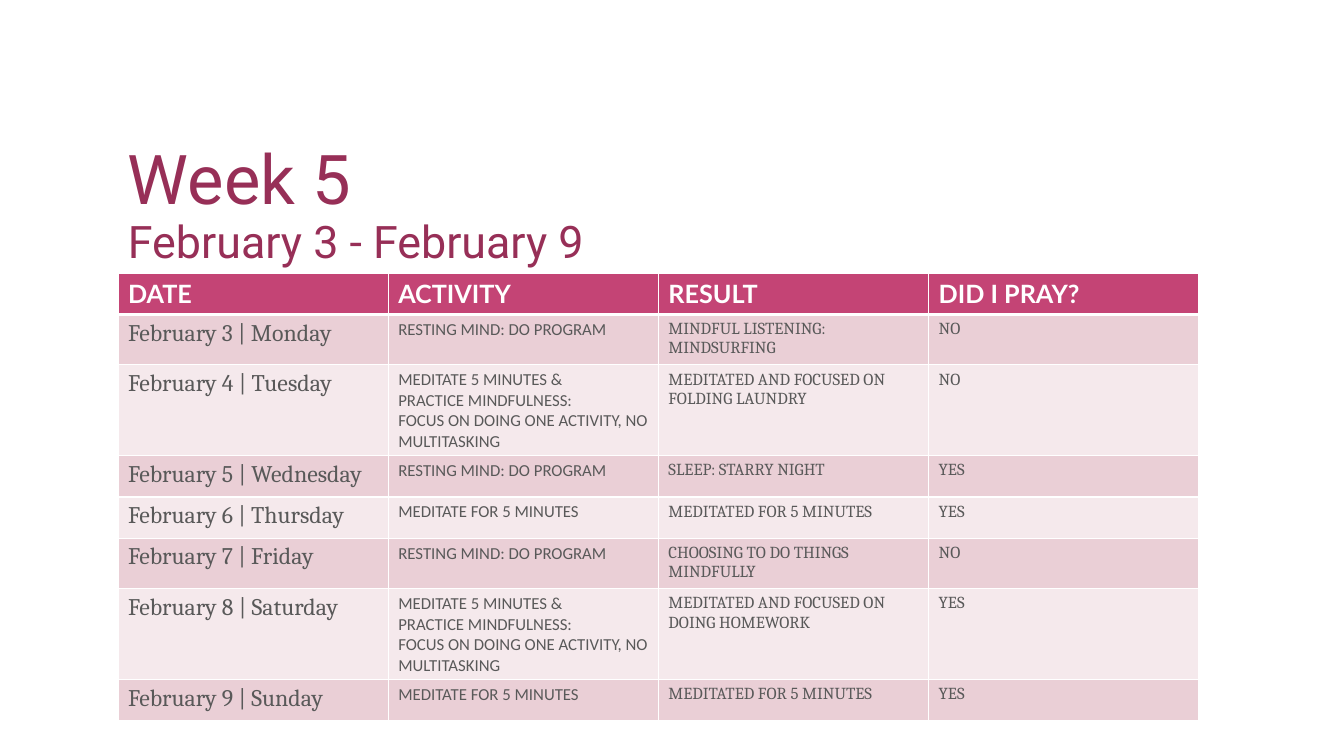
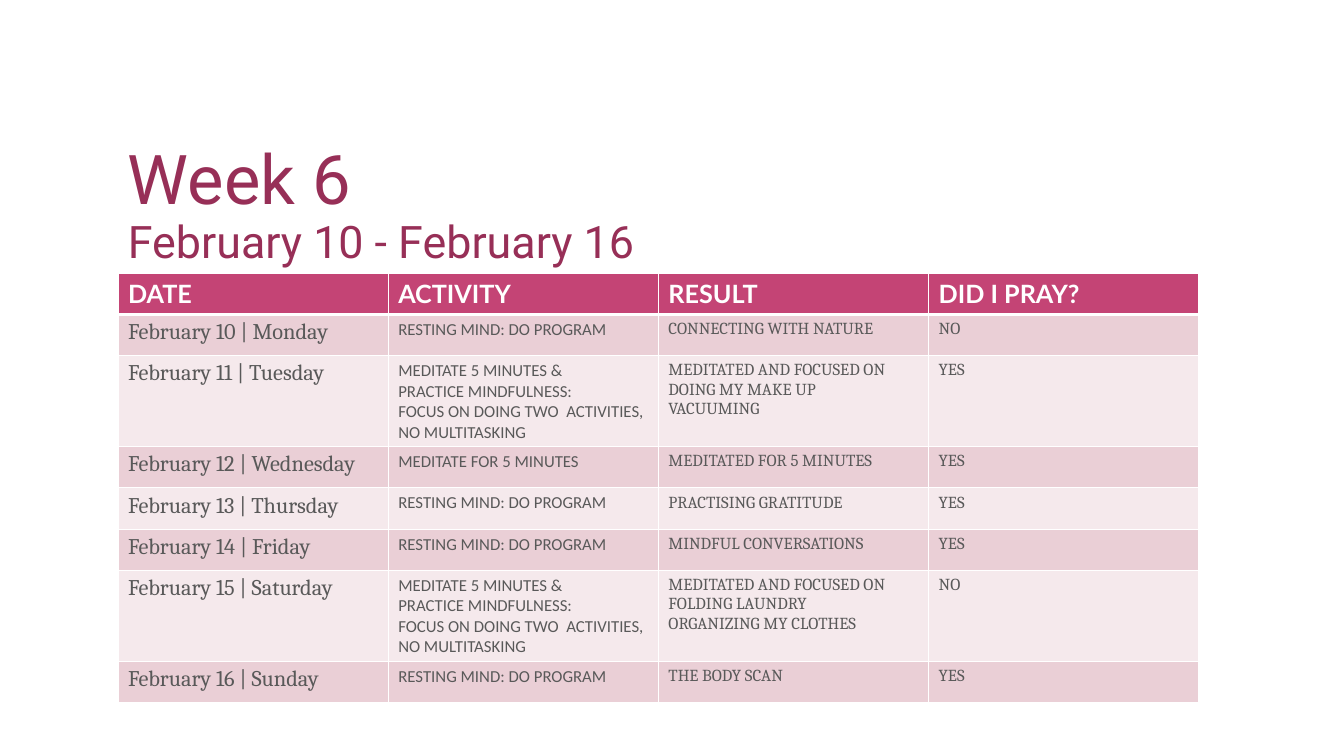
from pptx import Presentation
from pptx.dml.color import RGBColor
from pptx.enum.text import MSO_ANCHOR
from pptx.oxml.ns import qn
from pptx.util import Inches, Pt
from lxml import etree

BOTTOM = MSO_ANCHOR.BOTTOM
SLIDE_SIZE = (13.33, 7.5)
TITLE_BOX = (1.17, 1.21, 6.01, 1.5)
TABLE_BOX = (1.17, 2.71, 10.72, 3.28)
WHITE, HEADER_FILL, TITLE_COLOR, BODY_COLOR = "FFFFFF", "C44475", "972F57", "595959"
BAND_FILLS = ("EACFD6", "F5E9EC")
HEADINGS = ("DATE", "ACTIVITY", "RESULT", "DID I PRAY?")
WEEKDAYS = ("Monday", "Tuesday", "Wednesday", "Thursday", "Friday", "Saturday", "Sunday")

TITLE_FONT = {"name": "Roboto", "size": Pt(49), "color": TITLE_COLOR}
SUBTITLE_FONT = {**TITLE_FONT, "size": Pt(32)}
HEADING_FONT = {"name": "Lato", "size": Pt(18), "color": WHITE, "bold": True}
ACTIVITY_FONT = {"name": "Calibri", "size": Pt(12), "color": BODY_COLOR, "bold": False}
RESULT_FONT = {**ACTIVITY_FONT, "name": "Cambria"}

PROGRAM = "RESTING MIND: DO PROGRAM"
MEDITATE = "MEDITATE FOR 5 MINUTES"
MEDITATED = "MEDITATED FOR 5 MINUTES"
PRACTICE = "MEDITATE 5 MINUTES &\nPRACTICE MINDFULNESS:\nFOCUS ON DOING "
ONE_ACTIVITY = PRACTICE + "ONE ACTIVITY, NO MULTITASKING"
TWO_ACTIVITIES = PRACTICE + "TWO  ACTIVITIES, NO MULTITASKING"
FOCUSED = "MEDITATED AND FOCUSED ON "

WEEKS = (
    {"number": 5, "first_day": 3, "date_size": 17, "entries": (
        (PROGRAM, "MINDFUL LISTENING: MINDSURFING", "NO"),
        (ONE_ACTIVITY, FOCUSED + "FOLDING LAUNDRY", "NO"),
        (PROGRAM, "SLEEP: STARRY NIGHT", "YES"),
        (MEDITATE, MEDITATED, "YES"),
        (PROGRAM, "CHOOSING TO DO THINGS MINDFULLY", "NO"),
        (ONE_ACTIVITY, FOCUSED + "DOING HOMEWORK", "YES"),
        (MEDITATE, MEDITATED, "YES"),
    )},
    {"number": 6, "first_day": 10, "date_size": 16, "entries": (
        (PROGRAM, "CONNECTING WITH NATURE", "NO"),
        (TWO_ACTIVITIES, FOCUSED + "DOING MY MAKE UP\nVACUUMING", "YES"),
        (MEDITATE, MEDITATED, "YES"),
        (PROGRAM, "PRACTISING GRATITUDE", "YES"),
        (PROGRAM, "MINDFUL CONVERSATIONS", "YES"),
        (TWO_ACTIVITIES, FOCUSED + "FOLDING LAUNDRY\nORGANIZING MY CLOTHES", "NO"),
        (PROGRAM, "THE BODY SCAN", "YES"),
    )},
)


def rgb(value):
    """Turn a hex string into a colour."""
    return RGBColor.from_string(value)


def format_font(font, values):
    """Apply a dict of format values to a font."""
    for name, value in values.items():
        if name == "color":
            font.color.rgb = rgb(value)
        else:
            setattr(font, name, value)


def add_title(slide, box, title, subtitle):
    """Place the two-line title at the bottom of its box."""
    frame = slide.shapes.add_textbox(*map(Inches, box)).text_frame
    frame.word_wrap = True
    frame.vertical_anchor = BOTTOM
    paragraph = frame.paragraphs[0]
    paragraph.line_spacing = 0.9
    for text, font in ((title, TITLE_FONT), (subtitle, SUBTITLE_FONT)):
        if paragraph.runs:
            paragraph.add_line_break()
        run = paragraph.add_run()
        run.text = text
        format_font(run.font, font)


def set_borders(cell, top, bottom):
    """Draw white cell borders, with the given top and bottom widths."""
    properties = cell._tc.get_or_add_tcPr()
    for side, width in (("L", 1), ("R", 1), ("T", top), ("B", bottom)):
        line = etree.SubElement(properties, qn(f"a:ln{side}"), w=str(Pt(width)))
        fill = etree.SubElement(line, qn("a:solidFill"))
        etree.SubElement(fill, qn("a:srgbClr"), val=WHITE)


def fill_cell(cell, text, font, fill):
    """Write the text of a cell and colour its background."""
    cell.fill.solid()
    cell.fill.fore_color.rgb = rgb(fill)
    cell.text_frame.text = text
    for paragraph in cell.text_frame.paragraphs:
        for run in paragraph.runs:
            format_font(run.font, font)


def add_week_table(slide, box, week):
    """Place the diary table with one row for each day."""
    dates = [f"February {day} | {weekday}"
             for day, weekday in enumerate(WEEKDAYS, week["first_day"])]
    rows = [HEADINGS] + [(date, *entry) for date, entry in zip(dates, week["entries"])]
    date_font = {**RESULT_FONT, "size": Pt(week["date_size"])}
    body_fonts = (date_font, ACTIVITY_FONT, RESULT_FONT, RESULT_FONT)
    table = slide.shapes.add_table(len(rows), len(HEADINGS), *map(Inches, box)).table
    for row, texts in enumerate(rows):
        fill = BAND_FILLS[(row - 1) % 2] if row else HEADER_FILL
        for column, text in enumerate(texts):
            cell = table.cell(row, column)
            set_borders(cell, 3 if row == 1 else 1, 1 if row else 3)
            fill_cell(cell, text, body_fonts[column] if row else HEADING_FONT, fill)


def add_week_slide(presentation, week):
    """Add the slide of one week."""
    slide = presentation.slides.add_slide(presentation.slide_layouts[6])
    first_day = week["first_day"]
    last_day = first_day + len(WEEKDAYS) - 1
    add_title(slide, TITLE_BOX, f"Week {week['number']}",
              f"February {first_day} - February {last_day}")
    add_week_table(slide, TABLE_BOX, week)


def main():
    """Build and save the presentation."""
    presentation = Presentation()
    presentation.slide_width, presentation.slide_height = map(Inches, SLIDE_SIZE)
    for week in WEEKS:
        add_week_slide(presentation, week)
    presentation.save("out.pptx")


if __name__ == "__main__":
    main()
